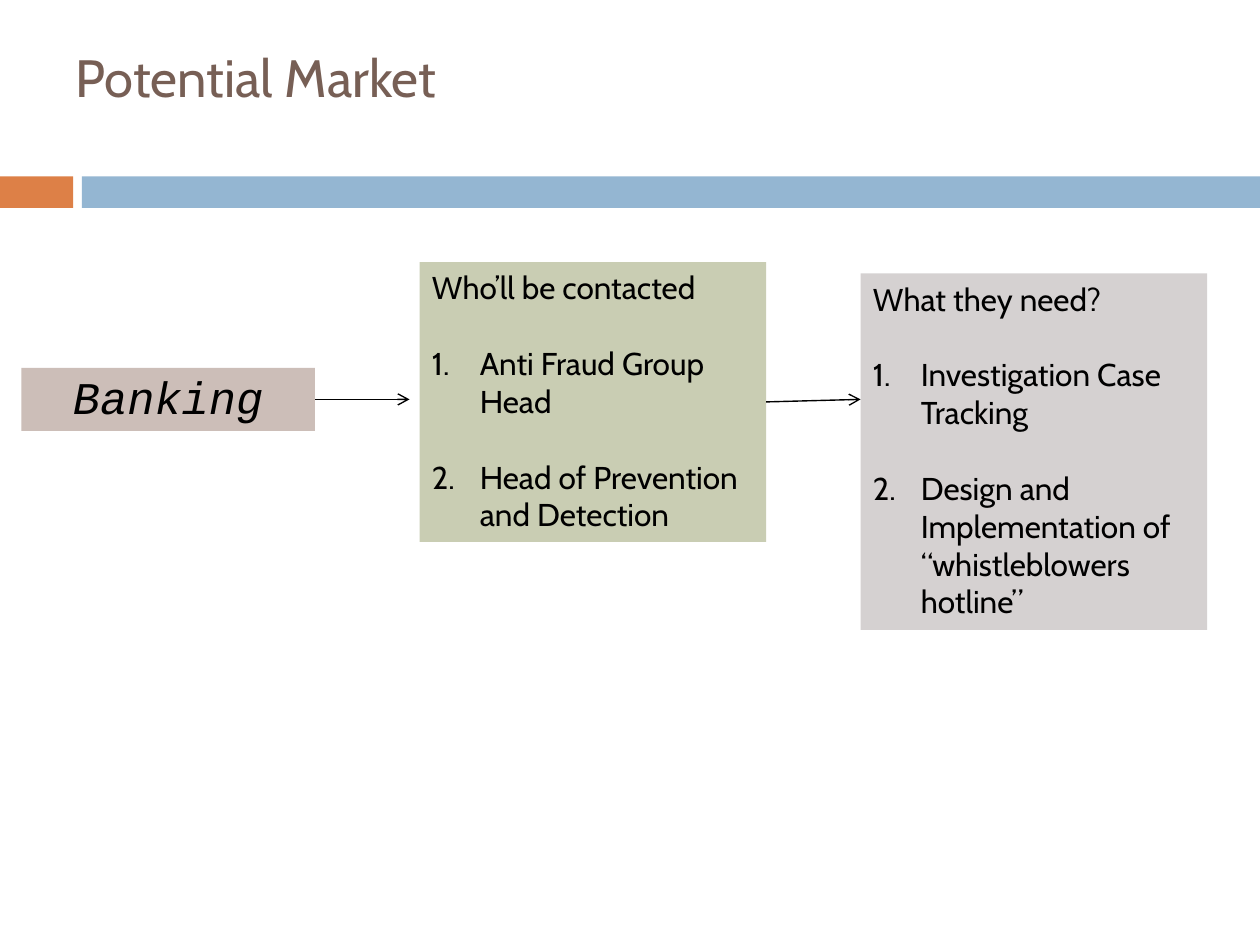
from lxml.etree import SubElement
from pptx import Presentation
from pptx.dml.color import RGBColor
from pptx.enum.shapes import MSO_CONNECTOR, MSO_SHAPE
from pptx.enum.text import MSO_ANCHOR, MSO_AUTO_SIZE, PP_ALIGN
from pptx.oxml.ns import qn
from pptx.util import Inches, Pt

TITLE_ONLY = 5
RIGHT_SIDE = 3


def color(value):
    return RGBColor.from_string(value)


def write(paragraph, text, size=18, font="Cabin", fill="000000", italic=False,
          align=PP_ALIGN.LEFT, line_spacing=None, before=0, numbered=False):
    """Fill one paragraph with formatted text."""
    paragraph.alignment = align
    paragraph.line_spacing = line_spacing
    paragraph.space_before = Pt(before)
    if numbered:
        properties = paragraph._p.get_or_add_pPr()
        properties.set("marL", str(Inches(0.38)))
        properties.set("indent", str(-Inches(0.38)))
        SubElement(properties, qn("a:buAutoNum"), type="arabicPeriod")
    run = paragraph.add_run()
    run.text = text
    run.font.size = Pt(size)
    run.font.name = font
    run.font.italic = italic
    run.font.color.rgb = color(fill)


def add_box(slide, box, fill, anchor=MSO_ANCHOR.TOP):
    """Add a plain filled rectangle; box is left, top, width, height."""
    shape = slide.shapes.add_shape(MSO_SHAPE.RECTANGLE, *map(Inches, box))
    shape.shadow.inherit = False
    shape.fill.solid()
    shape.fill.fore_color.rgb = color(fill)
    shape.line.fill.background()
    shape.text_frame.word_wrap = True
    shape.text_frame.vertical_anchor = anchor
    return shape


def add_title(slide, box, text):
    title = slide.shapes.title
    title.left, title.top, title.width, title.height = map(Inches, box)
    frame = title.text_frame
    frame.auto_size = MSO_AUTO_SIZE.NONE
    frame.vertical_anchor = MSO_ANCHOR.MIDDLE
    write(frame.paragraphs[0], text, size=30, fill="775F55")


def add_band(slide, box, accent_width=0.58, gap=0.07):
    """Split the band into a short accent and a long bar."""
    left, top, width, height = box
    offset = accent_width + gap
    add_box(slide, (left, top, accent_width, height), "DD8047")
    add_box(slide, (left + offset, top, width - offset, height), "94B6D2")


def add_market(slide, box, text):
    shape = add_box(slide, box, "CCBEB8", MSO_ANCHOR.MIDDLE)
    write(shape.text_frame.paragraphs[0], text, size=25.9, font="Courier New",
          italic=True, align=PP_ALIGN.CENTER, line_spacing=0.9)
    return shape


def add_list_card(slide, box, fill, heading, items):
    """Add a card with a heading above a numbered list."""
    shape = add_box(slide, box, fill)
    frame = shape.text_frame
    write(frame.paragraphs[0], heading)
    for item in items:
        write(frame.add_paragraph(), item, before=21.7, numbered=True)
    return shape


def add_arrow(slide, source, end):
    """Draw an arrow from the right side of source to a point."""
    x, y = map(Inches, end)
    arrow = slide.shapes.add_connector(MSO_CONNECTOR.STRAIGHT, x, y, x, y)
    arrow.begin_connect(source, RIGHT_SIDE)
    arrow.line.color.rgb = color("000000")
    arrow.line.width = Pt(0.79)
    SubElement(arrow.line._get_or_add_ln(), qn("a:tailEnd"), type="arrow")
    SubElement(arrow._element.spPr, qn("a:effectLst"))


def main():
    presentation = Presentation()
    presentation.slide_width = Inches(10)
    presentation.slide_height = Inches(7.5)
    slide = presentation.slides.add_slide(
        presentation.slide_layouts[TITLE_ONLY])

    # Heading
    add_band(slide, (0, 1.4, 10, 0.25))
    add_title(slide, (0.5, 0.3, 9, 0.62), "Potential Market")

    # Market, contacts and needs
    market = add_market(slide, (0.17, 2.92, 2.33, 0.5), "Banking")
    contacts = add_list_card(
        slide, (3.33, 2.08, 2.75, 2.22), "C9CDB3", "Who’ll be contacted",
        ["Anti Fraud Group Head", "Head of Prevention and Detection"])
    add_list_card(
        slide, (6.83, 2.17, 2.75, 2.83), "D5D1D1", "What they need?",
        ["Investigation Case Tracking",
         "Design and Implementation of “whistleblowers hotline”"])

    # Flow arrows
    add_arrow(slide, market, (3.25, 3.17))
    add_arrow(slide, contacts, (6.83, 3.17))

    presentation.save("out.pptx")


if __name__ == "__main__":
    main()
